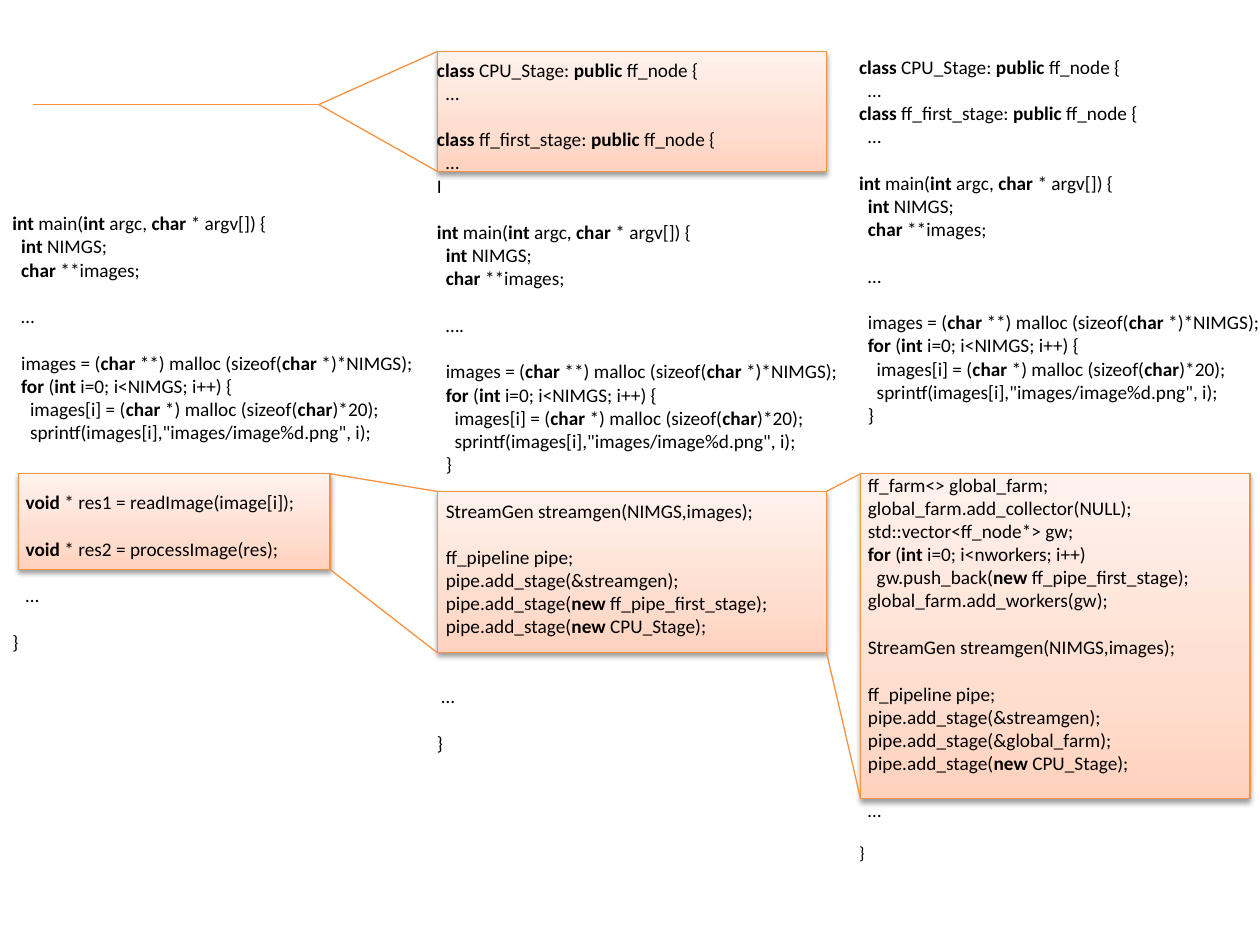
from itertools import groupby

from lxml import etree
from pptx import Presentation
from pptx.dml.color import RGBColor
from pptx.enum.shapes import MSO_CONNECTOR, MSO_SHAPE
from pptx.oxml import parse_xml
from pptx.oxml.ns import nsdecls, qn
from pptx.util import Inches, Pt

RECT = MSO_SHAPE.RECTANGLE
LINE = MSO_CONNECTOR.STRAIGHT

THEME = {
    "font": "Calibri", "size": 11, "small": 10, "lead": 1.22,
    "ink": RGBColor.from_string("000000"),
    "edge": RGBColor.from_string("F69240"), "width": 0.75,
    "stops": [(0, "FFD2BD"), (35, "FFDED0"), (100, "FFF2ED")],
    "shade": "000000",
}
KEYS = {"class", "public", "int", "char", "for", "void", "new"}

MAIN = """int main(int argc, char * argv[]) {
  int NIMGS;
  char **images;
"""
LOOP = """
  images = (char **) malloc (sizeof(char *)*NIMGS);
  for (int i=0; i<NIMGS; i++) {
    images[i] = (char *) malloc (sizeof(char)*20);
    sprintf(images[i],"images/image%d.png", i);
"""
PIPE = """
  StreamGen streamgen(NIMGS,images);

  ff_pipeline pipe;
  pipe.add_stage(&streamgen);
"""
SERIAL = MAIN + "\n  …\n" + LOOP + """

   void * res1 = readImage(image[i]);

   void * res2 = processImage(res);

   …

}"""
PIPED = """class CPU_Stage: public ff_node {
  …

class ff_first_stage: public ff_node {
  …
I

""" + MAIN + "\n  ….\n" + LOOP + "  }\n" + PIPE + """\
  pipe.add_stage(new ff_pipe_first_stage);
  pipe.add_stage(new CPU_Stage);


 …

}"""
FARMED = """class CPU_Stage: public ff_node {
  …
class ff_first_stage: public ff_node {
  …

""" + MAIN + "\n  …\n" + LOOP + """  }


  ff_farm<> global_farm;
  global_farm.add_collector(NULL);
  std::vector<ff_node*> gw;
  for (int i=0; i<nworkers; i++)
    gw.push_back(new ff_pipe_first_stage);
  global_farm.add_workers(gw);
""" + PIPE + """\
  pipe.add_stage(&global_farm);
  pipe.add_stage(new CPU_Stage);

  …

}"""

# left, top, width, height in inches
BOXES = {
    "farm": (6.83, 3.76, 3.09, 2.58),
    "class": (3.47, 0.41, 3.09, 0.95),
    "pipe": (3.47, 3.9, 3.09, 1.28),
    "calls": (0.15, 3.76, 2.47, 0.76),
}
# code, area, size of the last line
CODES = [
    (FARMED, (6.72, 0.39, 3.47, 6.9), THEME["small"]),
    (PIPED, (3.37, 0.41, 3.47, 5.82), THEME["size"]),
    (SERIAL, (0, 1.63, 3.47, 3.79), THEME["size"]),
]
LINKS = [("calls", "pipe"), ("pipe", "farm")]
START, FORK = (0.26, 0.83), (2.53, 0.83)


def corners(name, right=False):
    """Return the top and bottom corner on one side of a box."""
    x, y, w, h = BOXES[name]
    x += w if right else 0
    return (x, y), (x, y + h)


def add_box(slide, area):
    """Draw a shaded box with a soft shadow."""
    box = slide.shapes.add_shape(RECT, *map(Inches, area))
    box.line.color.rgb = THEME["edge"]
    box.line.width = Pt(THEME["width"])
    stops = "".join(
        f'<a:gs pos="{pos * 1000}"><a:srgbClr val="{tint}"/></a:gs>'
        for pos, tint in THEME["stops"])
    edge = box.element.spPr.find(qn("a:ln"))
    edge.addprevious(parse_xml(
        f'<a:gradFill {nsdecls("a")} rotWithShape="1"><a:gsLst>{stops}</a:gsLst>'
        '<a:lin ang="16200000" scaled="0"/></a:gradFill>'))
    edge.addnext(parse_xml(
        f'<a:effectLst {nsdecls("a")}><a:outerShdw blurRad="{Pt(3.1)}" '
        f'dist="{Pt(1.6)}" dir="5400000" rotWithShape="0">'
        f'<a:srgbClr val="{THEME["shade"]}"><a:alpha val="38000"/></a:srgbClr>'
        '</a:outerShdw></a:effectLst>'))


def add_link(slide, a, b):
    """Draw a thin line between two points."""
    link = slide.shapes.add_connector(LINE, *map(Inches, a + b))
    link.line.color.rgb = THEME["edge"]
    link.line.width = Pt(THEME["width"])
    etree.SubElement(link.element.spPr, qn("a:effectLst"))


def split(line):
    """Yield (text, bold) parts, with the keywords in bold."""
    words = ["".join(part) for _, part in
             groupby(line, lambda c: c.isalnum() or c == "_")]
    for bold, part in groupby(words, lambda word: word in KEYS):
        yield "".join(part), bold


def add_code(slide, code, area, last):
    """Set code as text: blank lines become spacing, leading spaces indents."""
    frame = slide.shapes.add_textbox(*map(Inches, area)).text_frame
    frame.word_wrap = True
    lines = code.split("\n")
    para, gap = frame.paragraphs[0], 0
    for i, line in enumerate(lines):
        if not line:
            gap += 1
            continue
        if i:
            para = frame.add_paragraph()
        size = last if i == len(lines) - 1 else THEME["size"]
        body = line.lstrip()
        depth = len(line) - len(body)
        para.space_before = Pt(round(gap * size * THEME["lead"], 1))
        para._p.get_or_add_pPr().set("marL", str(Inches(0.035 * depth)))
        for text, bold in split(body):
            run = para.add_run()
            run.text = text
            run.font.name, run.font.size = THEME["font"], Pt(size)
            run.font.bold, run.font.color.rgb = bold, THEME["ink"]
        gap = 0


def build():
    """Build the slide and save it."""
    deck = Presentation()
    deck.slide_width, deck.slide_height = Inches(10), Inches(7.5)
    slide = deck.slides.add_slide(deck.slide_layouts[6])
    for area in BOXES.values():
        add_box(slide, area)
    for code, area, last in CODES:
        add_code(slide, code, area, last)
    for src, dst in LINKS:
        for a, b in zip(corners(src, right=True), corners(dst)):
            add_link(slide, a, b)
    add_link(slide, START, FORK)
    for end in corners("class"):
        add_link(slide, FORK, end)
    deck.save("out.pptx")


build()
